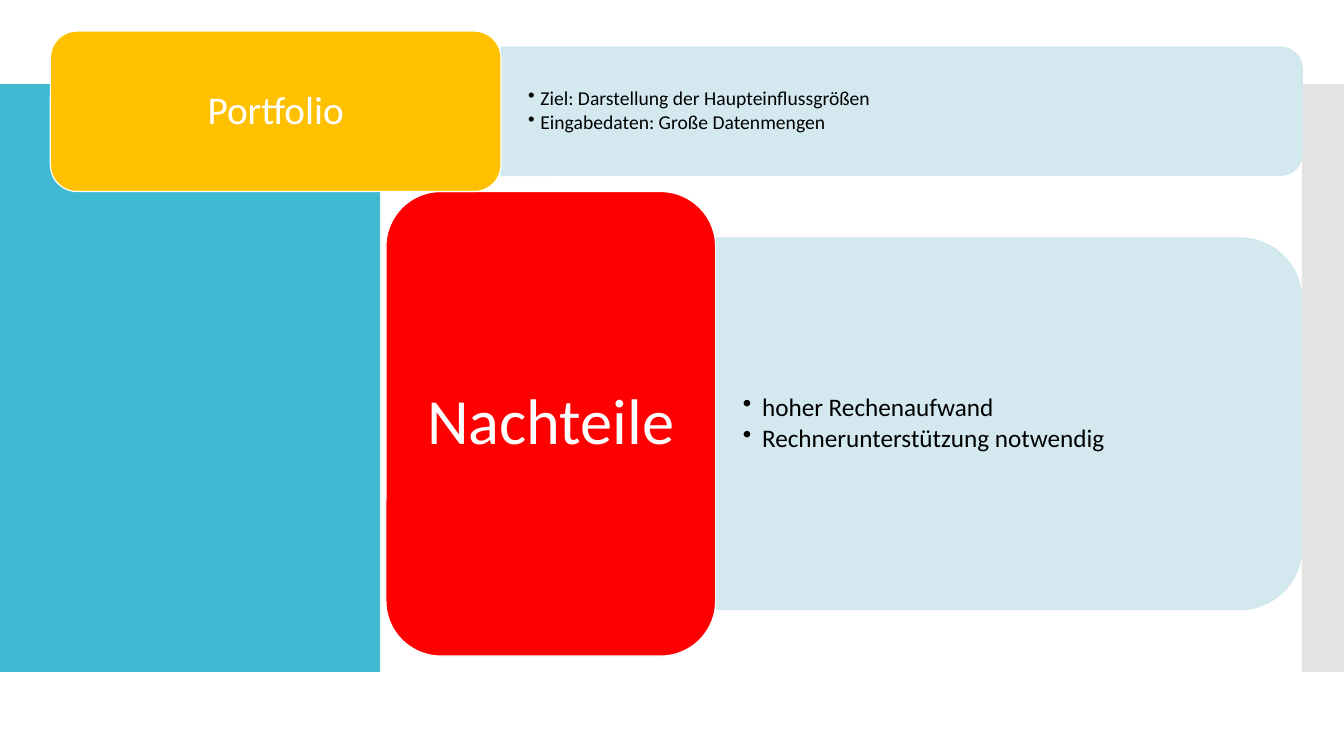
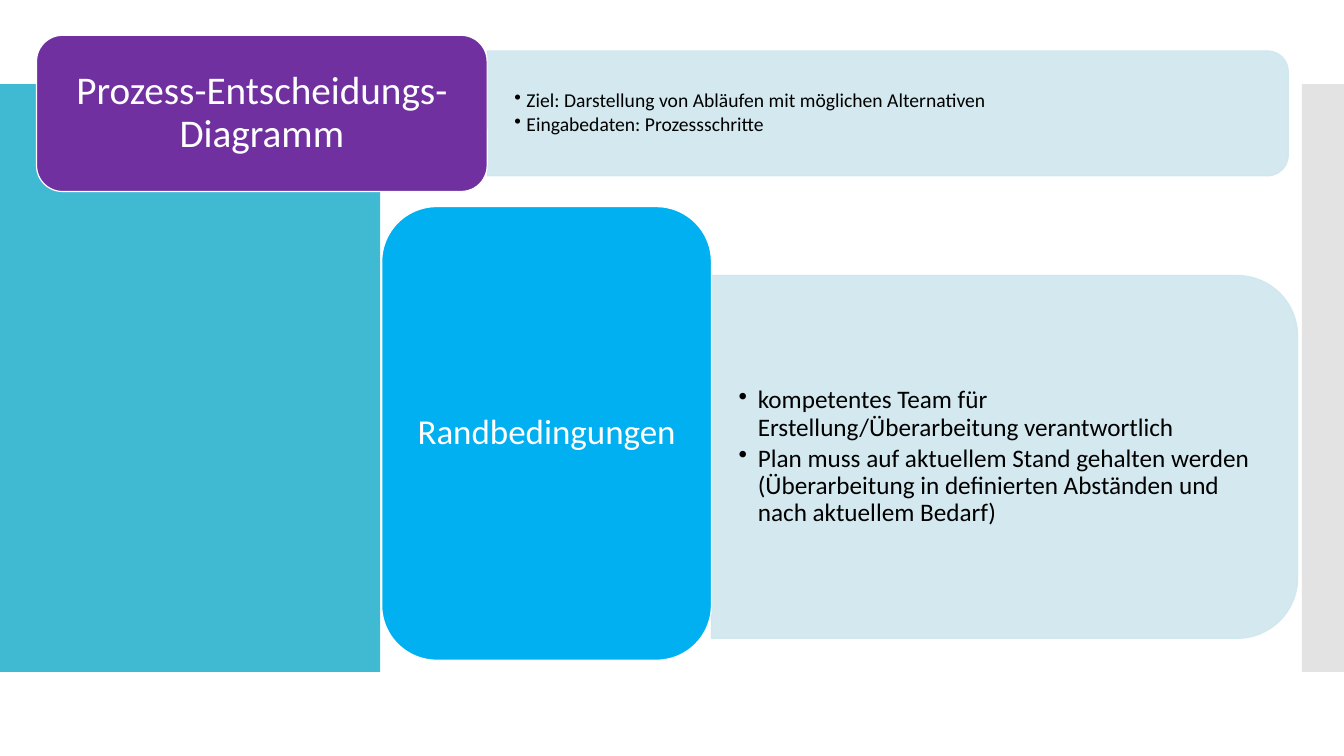
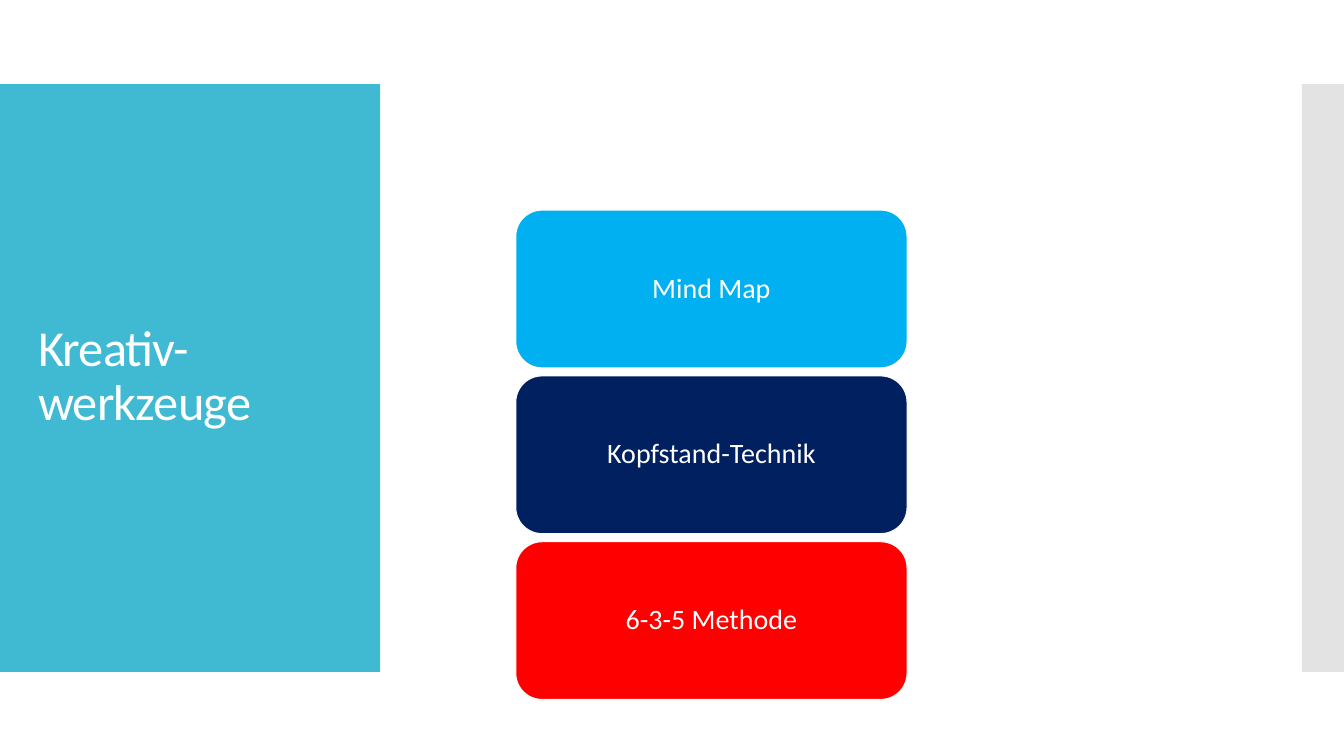
import dataclasses

import lxml.etree
import pptx
import pptx.dml.color
import pptx.enum.shapes
import pptx.enum.text
import pptx.oxml.ns
import pptx.util

COLUMNS, ROWS = 32, 18
UNIT = 7.5 / ROWS
SHAPES = pptx.enum.shapes.MSO_SHAPE
ALIGN = pptx.enum.text.PP_ALIGN
MIDDLE = pptx.enum.text.MSO_ANCHOR.MIDDLE


@dataclasses.dataclass(frozen=True)
class Theme:
    font: str = "Calibri"
    white: str = "FFFFFF"
    black: str = "000000"
    teal: str = "40BAD2"
    gray: str = "C8C8C8"
    pale: str = "CFE7EE"
    red: str = "FF0000"
    amber: str = "FFC000"
    sky: str = "00B0F0"
    navy: str = "002060"
    purple: str = "7030A0"
    title: int = 36
    heading: int = 28
    method: int = 20
    detail: int = 18
    summary: int = 14
    border: float = 0.85


THEME = Theme()

BANDS = [
    ((0, 2, 9.05, 14), THEME.teal, 100),
    ((31, 2, 1, 14), THEME.gray, 50),
]
BULLET_INDENT = {THEME.detail: 0.19, THEME.summary: 0.12}

TOOL_SLIDES = [
    [
        {
            "label": "Nachteile", "size": 46, "color": THEME.red,
            "box": (9.19, 4.56, 7.85, 11.06), "drop": 0, "bullet_size": THEME.detail,
            "bullets": ["hoher Rechenaufwand", "Rechnerunterstützung notwendig"],
        },
        {
            "label": "Portfolio", "size": THEME.heading, "color": THEME.amber,
            "box": (1.2, 0.74, 10.73, 3.82), "drop": 0, "bullet_size": THEME.summary,
            "bullets": ["Ziel: Darstellung der Haupteinflussgrößen",
                        "Eingabedaten: Große Datenmengen"],
        },
    ],
    [
        {
            "label": "Randbedingungen", "size": 25, "color": THEME.sky,
            "box": (9.09, 4.92, 7.85, 10.8), "drop": 0.56, "bullet_size": THEME.detail,
            "bullets": ["kompetentes Team für Erstellung/Überarbeitung verantwortlich",
                        "Plan muss auf aktuellem Stand gehalten werden (Überarbeitung in "
                        "definierten Abständen und nach aktuellem Bedarf)"],
        },
        {
            "label": "Prozess-Entscheidungs-Diagramm", "size": THEME.heading,
            "color": THEME.purple,
            "box": (0.87, 0.84, 10.73, 3.72), "drop": 0, "bullet_size": THEME.summary,
            "bullets": ["Ziel: Darstellung von Abläufen mit möglichen Alternativen",
                        "Eingabedaten: Prozessschritte"],
        },
    ],
]
CREATIVE_TITLE = "Kreativ-werkzeuge"
CREATIVE_METHODS = [
    ("Mind Map", THEME.sky),
    ("Kopfstand-Technik", THEME.navy),
    ("6-3-5 Methode", THEME.red),
]
METHOD_BOX = (12.28, 5, 9.32, 3.76)
METHOD_STEP = 1.05
TITLE_BOX = (0.67, 2.95, 7.73, 12.07)


def place(box):
    return [pptx.util.Inches(length * UNIT) for length in box]


def rgb(color):
    return pptx.dml.color.RGBColor.from_string(color)


def apply(target, values):
    for name, value in values.items():
        setattr(target, name, value)


def add_element(parent, tag, **attributes):
    lxml.etree.SubElement(parent, pptx.oxml.ns.qn(tag), attributes)


def add_panel(slide, kind, box, color, line=None, opacity=100):
    shape = slide.shapes.add_shape(kind, *place(box))
    shape.shadow.inherit = False
    shape.fill.solid()
    shape.fill.fore_color.rgb = rgb(color)
    if line:
        shape.line.color.rgb = rgb(line)
        shape.line.width = pptx.util.Pt(THEME.border)
    else:
        shape.line.fill.background()
    if opacity < 100:
        for color_element in shape.element.spPr.iter(pptx.oxml.ns.qn("a:srgbClr")):
            add_element(color_element, "a:alpha", val=str(opacity * 1000))
    return shape


def write(shape, lines, size, color, align, margins):
    frame = shape.text_frame
    horizontal, vertical = margins
    apply(frame, {
        "text": "\n".join(lines), "word_wrap": True, "vertical_anchor": MIDDLE,
        "auto_size": pptx.enum.text.MSO_AUTO_SIZE.NONE,
        "margin_left": horizontal, "margin_right": horizontal,
        "margin_top": vertical, "margin_bottom": vertical,
    })
    for paragraph in frame.paragraphs:
        apply(paragraph, {"alignment": align, "line_spacing": 0.9})
        for run in paragraph.runs:
            apply(run.font, {"name": THEME.font, "size": pptx.util.Pt(size)})
            run.font.color.rgb = rgb(color)
    return frame.paragraphs


def add_label(slide, box, text, size, color):
    shape = add_panel(slide, SHAPES.ROUNDED_RECTANGLE, box, color, THEME.white)
    margins = pptx.util.Pt(0.3 * size), pptx.util.Pt(0.15 * size)
    write(shape, [text], size, THEME.white, ALIGN.CENTER, margins)


def add_bullets(slide, box, lines, size):
    shape = slide.shapes.add_textbox(*place(box))
    margins = pptx.util.Inches(0.27), pptx.util.Inches(0.14)
    indent = pptx.util.Inches(BULLET_INDENT[size])
    for paragraph in write(shape, lines, size, THEME.black, ALIGN.LEFT, margins):
        paragraph.space_after = pptx.util.Pt(0.15 * size)
        properties = paragraph._p.get_or_add_pPr()
        properties.set("marL", str(indent))
        properties.set("indent", str(-indent))
        add_element(properties, "a:buChar", char="•")


def add_tool_row(slide, row):
    left, top, label_width, label_height = row["box"]
    width, height = label_width * 16 / 9, label_height * 0.8
    start = left + label_width
    middle = top + label_height / 2 + row["drop"]
    upright = (start + (width - height) / 2, middle - width / 2, height, width)
    panel = add_panel(slide, SHAPES.ROUND_2_SAME_RECTANGLE, upright,
                      THEME.pale, THEME.pale, 90)
    panel.rotation = 90
    inset = 0.29 * height / 6
    text_box = (start, middle - height / 2 + inset, width - inset, height - 2 * inset)
    add_bullets(slide, text_box, row["bullets"], row["bullet_size"])
    add_label(slide, row["box"], row["label"], row["size"], row["color"])


def add_bands(master, slide):
    tree = master.element.cSld.spTree
    for position, (box, color, opacity) in enumerate(BANDS, start=2):
        band = add_panel(slide, SHAPES.RECTANGLE, box, color, opacity=opacity)
        tree.insert(position, band.element)


def add_creative_slide(presentation):
    slide = presentation.slides.add_slide(presentation.slide_layouts[5])
    title = slide.shapes.title
    apply(title, dict(zip(("left", "top", "width", "height"), place(TITLE_BOX))))
    margins = pptx.util.Inches(0.1), pptx.util.Inches(0.05)
    for paragraph in write(title, [CREATIVE_TITLE], THEME.title, THEME.white,
                           ALIGN.LEFT, margins):
        for run in paragraph.runs:
            run.font._element.set("spc", "-60")
    left, top, width, height = METHOD_BOX
    for index, (text, color) in enumerate(CREATIVE_METHODS):
        box = (left, top + index * height * METHOD_STEP, width, height)
        add_label(slide, box, text, THEME.method, color)


def main():
    presentation = pptx.Presentation()
    presentation.slide_width, presentation.slide_height = place((COLUMNS, ROWS))
    for rows in TOOL_SLIDES:
        slide = presentation.slides.add_slide(presentation.slide_layouts[6])
        for row in rows:
            add_tool_row(slide, row)
    add_bands(presentation.slide_master, presentation.slides[0])
    add_creative_slide(presentation)
    presentation.save("out.pptx")


if __name__ == "__main__":
    main()
